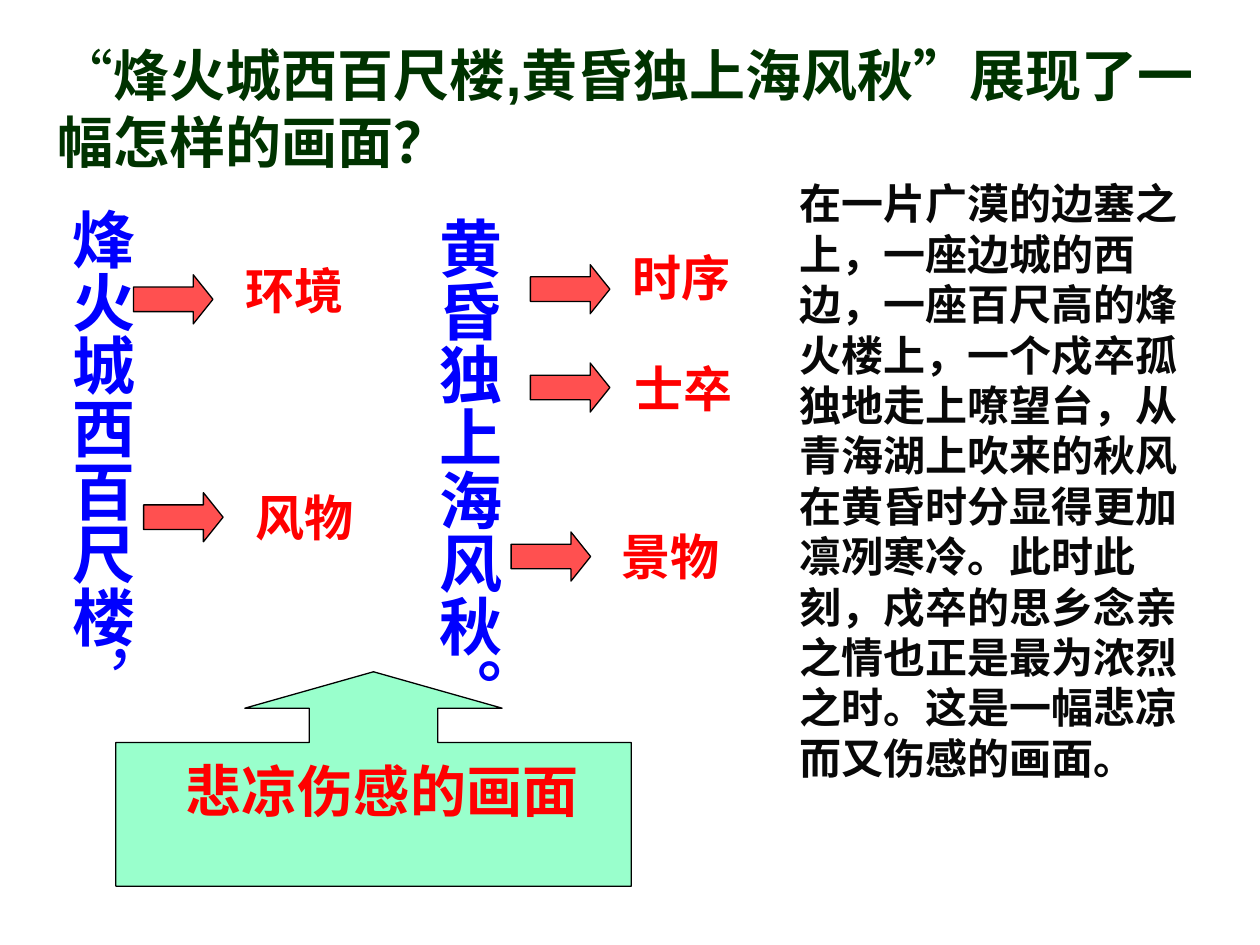
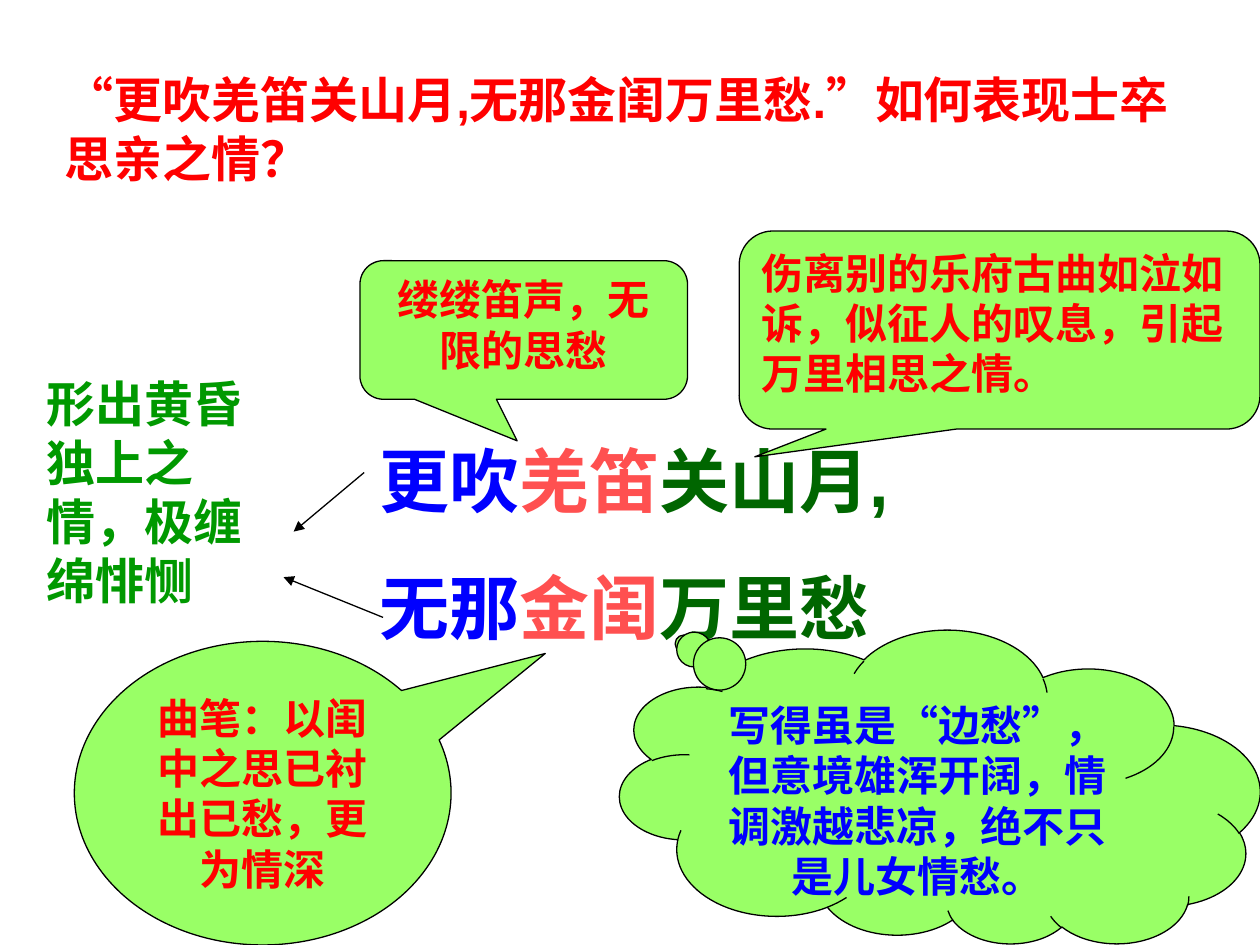
import pptx
import pptx.dml.color
import pptx.enum.lang
import pptx.enum.shapes
import pptx.enum.text
import pptx.oxml.ns
import pptx.util
from dataclasses import dataclass
from lxml import etree

Pt = pptx.util.Pt
qn = pptx.oxml.ns.qn
SHAPES = pptx.enum.shapes.MSO_SHAPE
ALIGN = pptx.enum.text.PP_ALIGN
ANCHOR = pptx.enum.text.MSO_ANCHOR
FIT = pptx.enum.text.MSO_AUTO_SIZE


@dataclass(frozen=True)
class Theme:
    latin: str = "Arial"
    chinese: str = "Noto Sans CJK SC"
    black: str = "000000"
    white: str = "FFFFFF"
    ink: str = "080808"
    red: str = "FF0000"
    coral: str = "FF5050"
    blue: str = "0000FF"
    pine: str = "003300"
    forest: str = "006600"
    green: str = "009900"
    lime: str = "99FF66"
    mint: str = "99FFCC"
    body: int = 24
    label: int = 28
    heading: int = 32
    verse: int = 36
    couplet: int = 40
    outline: float = 0.75


THEME = Theme()

# Content of slide 1; frames are left, top, width, height in points
SCENE_TITLE = [("“", THEME.pine, False),
               ("烽火城西百尺楼,黄昏独上海风秋”展现了一幅怎样的画面？", THEME.pine)]
SCENE_TITLE_FRAME = (25.5, 12.4, 686.2, 98.6)
VERSES = [
    ([("烽火城西百尺楼", THEME.blue), ("，", THEME.blue, False)], (26, 111.6, 57.6, 368.6)),
    ([("黄昏独上海风秋。", THEME.blue)], (235.4, 116.6, 57.6, 323.3)),
]
ARROW_SIZE = (45.4, 28.1)
LABEL_HEIGHT = 41
# label, arrow left and top, label left, top and width
ASPECTS = [
    ("环境", (76.3, 157), (133.2, 145.4, 107.3)),
    ("风物", (82.1, 281.5), (139, 275, 85)),
    ("时序", (303.1, 151.2), (354.2, 138.2, 102.2)),
    ("士卒", (303.1, 207.4), (355.7, 201.6, 90)),
    ("景物", (292.1, 304), (348.2, 297.6, 79.2)),
]
MOOD = "悲凉伤感的画面"
MOOD_ARROW_FRAME = (66.2, 383.9, 294.5, 122.5)
MOOD_FRAME = (99.2, 428.6, 249.8, 46)
SCENE = ("在一片广漠的边塞之上，一座边城的西边，一座百尺高的烽火楼上，"
         "一个戍卒孤独地走上嘹望台，从青海湖上吹来的秋风在黄昏时分显得更加凛冽寒冷。"
         "此时此刻，戍卒的思乡念亲之情也正是最为浓烈之时。这是一幅悲凉而又伤感的画面。")
SCENE_FRAME = (450, 98.1, 239.8, 352.8)

# Content of slide 2
LONGING_TITLE = [("“更吹羌笛关山月,无那金闺万里愁.”如何表现士卒思亲之情？", THEME.red)]
LONGING_TITLE_FRAME = (29.9, 36, 653.8, 74.9)
COUPLET_COLOURS = (THEME.blue, THEME.coral, THEME.forest)
COUPLET = [("更吹", "羌笛", "关山月,"), ("无那", "金闺", "万里愁")]
COUPLET_FRAME = (209.9, 246.2, 402.5, 128.2)
POINTERS = [((208.1, 270), (167.8, 303.8)), ((218.9, 352.8), (162, 329.8))]
REMARK = "形出黄昏独上之情，极缠绵悱恻"
REMARK_FRAME = (19.4, 210.2, 133.2, 141.8)
# preset, frame, adjustments, text, colour, alignment, upside down
CALLOUTS = [
    (SHAPES.ROUNDED_RECTANGULAR_CALLOUT, (205.7, 149, 187.2, 79.2), (-0.02, 0.8, 0.17),
     "缕缕笛声，无限的思愁", THEME.red, ALIGN.CENTER, False),
    (SHAPES.ROUNDED_RECTANGULAR_CALLOUT, (422.4, 132, 297.6, 113.2), (-0.47, 0.64, 0.17),
     "伤离别的乐府古曲如泣如诉，似征人的叹息，引起万里相思之情。",
     THEME.red, ALIGN.LEFT, False),
    (SHAPES.OVAL_CALLOUT, (42.5, 366.5, 215.3, 173.5), (0.75, -0.46),
     "曲笔：以闺中之思已衬出已愁，更为情深", THEME.red, ALIGN.CENTER, False),
    (SHAPES.CLOUD_CALLOUT, (354.2, 360.7, 365.8, 179.3), (-0.4, 0.46),
     "写得虽是“边愁”，但意境雄浑开阔，情调激越悲凉，绝不只是儿女情愁。",
     THEME.blue, ALIGN.CENTER, True),
]


def rgb(colour):
    return pptx.dml.color.RGBColor.from_string(colour)


def points(values):
    return [Pt(value) for value in values]


def write(shape, lines, size, align=ALIGN.LEFT, latin=THEME.latin, gap=0, anchor=ANCHOR.TOP):
    """Each line is a list of (text, colour) or (text, colour, bold)."""
    frame = shape.text_frame
    frame.word_wrap = True
    frame.vertical_anchor = anchor
    for index, pieces in enumerate(lines):
        para = frame.add_paragraph() if index else frame.paragraphs[0]
        para.alignment = align
        para._p.get_or_add_pPr().set("hangingPunct", "0")
        if index:
            para.space_before = Pt(gap)
        for text, colour, *bold in pieces:
            span = para.add_run()
            span.text = text
            font = span.font
            font.size = Pt(size)
            font.bold = bold[0] if bold else True
            font.name = latin
            font.color.rgb = rgb(colour)
            font.language_id = pptx.enum.lang.MSO_LANGUAGE_ID.SIMPLIFIED_CHINESE
            etree.SubElement(span._r.rPr, qn("a:ea"), typeface=THEME.chinese)


def add_titled_page(deck, pieces, frame, size, anchor):
    page = deck.slides.add_slide(deck.slide_layouts[5])
    title = page.shapes.title
    title.left, title.top, title.width, title.height = points(frame)
    title.text_frame.auto_size = FIT.NONE
    write(title, [pieces], size, anchor=anchor)
    return page


def add_text(page, frame, lines, size, fit=FIT.SHAPE_TO_FIT_TEXT, **style):
    box = page.shapes.add_textbox(*points(frame))
    write(box, lines, size, **style)
    box.text_frame.auto_size = fit
    return box


def add_verse(page, pieces, frame):
    box = add_text(page, frame, [pieces], THEME.verse, fit=FIT.NONE, align=ALIGN.CENTER)
    text = box.text_frame
    text.margin_left = text.margin_right = Pt(3.6)
    text.margin_top = text.margin_bottom = Pt(7.2)
    text._txBody.bodyPr.set("vert", "eaVert")


def add_figure(page, preset, frame, fill, adjustments=(), outlined=True):
    shape = page.shapes.add_shape(preset, *points(frame))
    shape.shadow.inherit = False
    shape.fill.solid()
    shape.fill.fore_color.rgb = rgb(fill)
    if outlined:
        shape.line.color.rgb = rgb(THEME.black)
        shape.line.width = Pt(THEME.outline)
    else:
        shape.line.fill.background()
    for index, value in enumerate(adjustments):
        shape.adjustments[index] = value
    return shape


def turn_upside_down(shape):
    """Flip the outline and keep its text upright."""
    shape._element.spPr.find(qn("a:xfrm")).set("flipV", "1")
    shape.text_frame._txBody.bodyPr.set("rot", "10800000")


def add_pointer(page, start, end):
    line = page.shapes.add_connector(
        pptx.enum.shapes.MSO_CONNECTOR.STRAIGHT, *points(start + end))
    line.line.color.rgb = rgb(THEME.black)
    line.line.width = Pt(THEME.outline)
    etree.SubElement(line.line._get_or_add_ln(), qn("a:tailEnd"), type="triangle")
    etree.SubElement(line._element.spPr, qn("a:effectLst"))


def build_scene(deck):
    page = add_titled_page(deck, SCENE_TITLE, SCENE_TITLE_FRAME, THEME.heading, ANCHOR.MIDDLE)
    for pieces, frame in VERSES:
        add_verse(page, pieces, frame)
    for label, arrow_corner, label_place in ASPECTS:
        add_figure(page, SHAPES.RIGHT_ARROW, arrow_corner + ARROW_SIZE, THEME.coral, (0.5, 0.4))
        add_text(page, label_place + (LABEL_HEIGHT,), [[(label, THEME.red)]], THEME.label)
    add_figure(page, SHAPES.UP_ARROW_CALLOUT, MOOD_ARROW_FRAME, THEME.mint,
               (0.6, 0.6, 0.17, 0.67))
    add_text(page, MOOD_FRAME, [[(MOOD, THEME.red)]], THEME.heading)
    add_text(page, SCENE_FRAME, [[(SCENE, THEME.ink)]], THEME.body, latin=THEME.chinese)


def build_longing(deck):
    page = add_titled_page(deck, LONGING_TITLE, LONGING_TITLE_FRAME, THEME.label, ANCHOR.TOP)
    lines = [list(zip(words, COUPLET_COLOURS)) for words in COUPLET]
    add_text(page, COUPLET_FRAME, lines, THEME.couplet, gap=25)
    for start, end in POINTERS:
        add_pointer(page, start, end)
    remark = add_figure(page, SHAPES.RECTANGLE, REMARK_FRAME, THEME.white, outlined=False)
    write(remark, [[(REMARK, THEME.green)]], THEME.label)
    for preset, frame, adjustments, text, colour, align, flipped in CALLOUTS:
        callout = add_figure(page, preset, frame, THEME.lime, adjustments)
        write(callout, [[(text, colour)]], THEME.body, align=align)
        if flipped:
            turn_upside_down(callout)


def main():
    deck = pptx.Presentation()
    deck.slide_width, deck.slide_height = Pt(720), Pt(540)
    build_scene(deck)
    build_longing(deck)
    deck.save("out.pptx")


if __name__ == "__main__":
    main()
